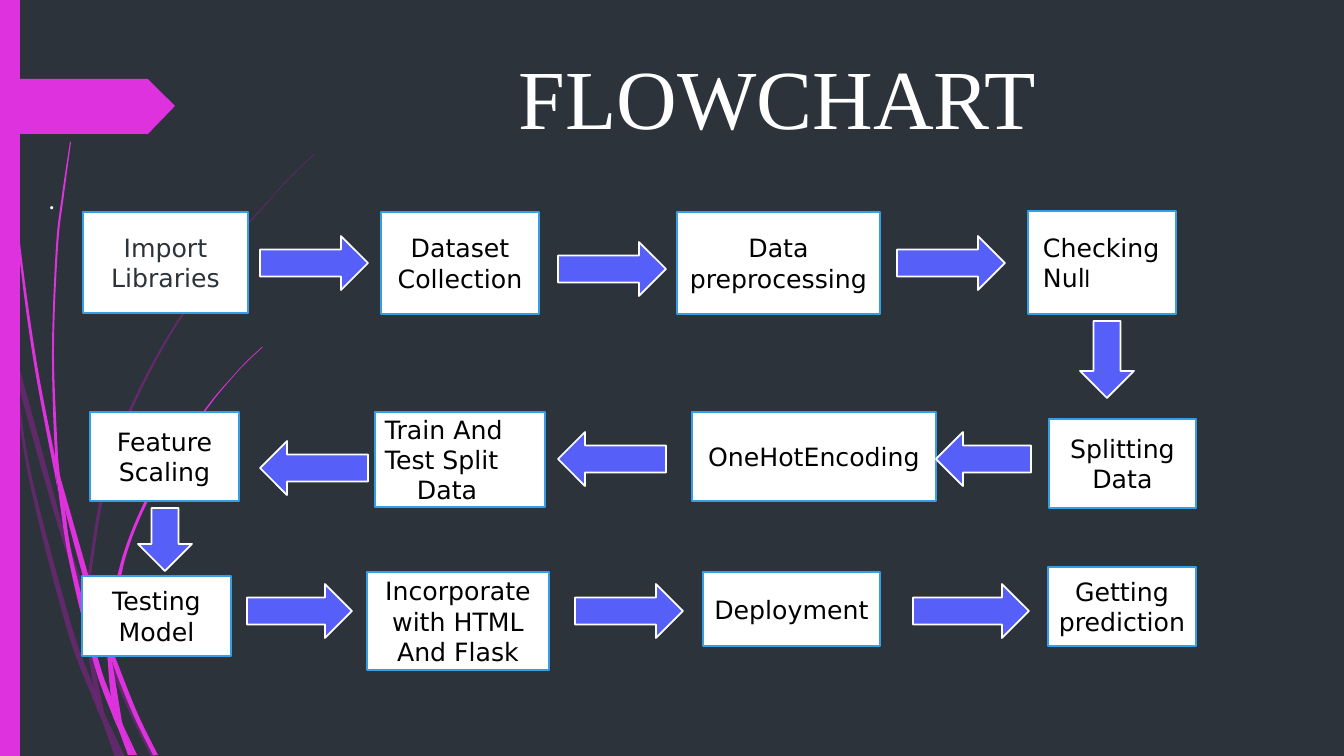
from pptx import Presentation
from pptx.dml.color import RGBColor as RGB
from pptx.enum.shapes import MSO_SHAPE as Kind
from pptx.enum.text import MSO_ANCHOR as Anchor, PP_ALIGN as Align
from pptx.oxml import parse_xml
from pptx.oxml.ns import nsdecls, qn
from pptx.util import Pt

PX = 914400 / 100.8
INK, PINK, PLUM, BLUE, SKY = "2C333A", "DE32DE", "B01CB0", "565FF8", "349FE7"
BLACK, WHITE = "000000", "FFFFFF"
SANS, SPARTAN = "DejaVu Sans", "League Spartan"

# Steps: left, top, width, height, text
STEPS = [
    (83, 212, 165, 101, "Import Libraries"),
    (381, 212, 158, 102, "Dataset Collection"),
    (677, 212, 203, 102, "Data preprocessing"),
    (1028, 211, 148, 103, "Checking Null"),
    (1049, 419, 147, 89, "Splitting Data"),
    (692, 412, 244, 89, "OneHotEncoding"),
    (375, 412, 170, 95, "Train And Test Split\nData"),
    (90, 412, 149, 89, "Feature Scaling"),
    (82, 576, 149, 80, "Testing Model"),
    (367, 572, 182, 98, "Incorporate with HTML And Flask"),
    (703, 572, 177, 74, "Deployment"),
    (1048, 567, 148, 79, "Getting prediction"),
]
# Steps with a format of their own
STYLES = {
    "Import Libraries": dict(color=INK),
    "Checking Null": dict(align=Align.LEFT, left=15, tail=1),
    "Train And Test Split\nData": dict(align=Align.LEFT, left=10,
                                       indents=(0, 32)),
}

# Arrows: direction, then left, top, length
ARROWS = {
    Kind.RIGHT_ARROW: [(260, 236, 108), (558, 242, 108), (897, 236, 108),
                       (247, 584, 105), (575, 584, 108), (913, 584, 116)],
    Kind.LEFT_ARROW: [(936, 432, 95), (558, 432, 108), (260, 441, 108)],
    Kind.DOWN_ARROW: [(1080, 321, 77), (138, 508, 63)],
}
THICK = 54

# Blades: left edge and right edge, each from top to bottom
BACK = [
    ([(0, 301), (10, 347), (11, 353)], [(0, 284), (9, 325)]),
    ([(14, 348), (17, 379), (58, 526), (85, 604)], [(62, 524), (85, 591)]),
    ([(89, 601), (89, 615), (124, 700), (151, 757)],
     [(93, 612), (128, 698), (156, 757)]),
    ([(106, 717), (120, 757)], [(125, 757)]),
    ([(11, 353), (28, 474), (66, 626), (93, 699), (102, 720)],
     [(17, 379), (31, 473), (71, 624), (94, 688), (100, 713)]),
    ([(85, 604), (88, 651), (94, 688), (97, 698), (106, 717)],
     [(89, 615), (92, 651), (104, 712)]),
    ([(314, 154), (291, 176), (270, 199), (230, 246), (159, 351),
      (108, 465), (86, 589), (86, 591), (89, 601)],
     [(315, 154), (292, 176), (270, 200), (231, 247), (161, 352),
      (111, 466), (89, 589)]),
    ([(102, 720), (115, 757)], [(120, 757)]),
    ([(94, 688), (100, 713), (102, 720), (120, 757)],
     [(97, 698), (106, 717)]),
]
FRONT = [
    ([(3, 0), (4, 48), (7, 111), (17, 235), (33, 358), (56, 481), (57, 485)],
     [(4, 0), (5, 48), (8, 110), (19, 234), (36, 358), (55, 457)]),
    ([(60, 476), (65, 509), (89, 597), (107, 650)], [(94, 595), (107, 636)]),
    ([(111, 646), (112, 661), (133, 714), (153, 755)],
     [(114, 654), (137, 712), (158, 755)]),
    ([(57, 481), (69, 561), (94, 664), (112, 714), (118, 728)],
     [(65, 509), (73, 560), (99, 662), (111, 697), (117, 723)]),
    ([(70, 142), (62, 195), (56, 247), (52, 352), (55, 453), (60, 476)],
     [(71, 142), (64, 195), (58, 247), (54, 352), (58, 457)]),
    ([(123, 725), (134, 755)], [(137, 755)]),
    ([(55, 453), (55, 457), (57, 481), (65, 509)], [(60, 476)]),
    ([(262, 347), (247, 361), (233, 376), (206, 408), (157, 478),
      (123, 555), (107, 636), (111, 646)],
     [(263, 347), (247, 362), (233, 377), (207, 409), (159, 480),
      (126, 556), (112, 638)]),
    ([(118, 728), (128, 755)], [(132, 755)]),
    ([(107, 650), (111, 697), (117, 712), (123, 725)],
     [(110, 656), (112, 661), (122, 722)]),
    ([(107, 636), (107, 650), (112, 661)], [(111, 646)]),
    ([(111, 697), (117, 723), (118, 728), (131, 755)],
     [(117, 712), (123, 725), (134, 755)]),
]
FLAG = [(0, 79), (148, 79), (175, 106), (148, 134), (0, 134)]


def emu(n):
    return round(n * PX)


def hue(code):
    return RGB.from_string(code)


def paint(shape, fill, line=None):
    shape.shadow.inherit = False
    shape.fill.solid()
    shape.fill.fore_color.rgb = hue(fill)
    if line:
        shape.line.color.rgb = hue(line)
        shape.line.width = Pt(1.25)
    else:
        shape.line.fill.background()
    return shape


def block(kind, box, fill, line=None):
    return paint(slide.shapes.add_shape(kind, *map(emu, box)), fill, line)


def write(shape, text, size=18, font=SANS, color=BLACK, align=Align.CENTER,
          anchor=Anchor.MIDDLE, left=9, top=5, indents=(0,), tail=0):
    """Fill a shape with text; the last tail letters are in Spartan."""
    frame = shape.text_frame
    frame.word_wrap = True
    frame.vertical_anchor = anchor
    frame.margin_left, frame.margin_right = emu(left), emu(9)
    frame.margin_top, frame.margin_bottom = emu(top), emu(5)
    cut = len(text) - tail
    frame.text = text[:cut]
    if tail:
        frame.paragraphs[-1].add_run().text = text[cut:]
    for para, gap in zip(frame.paragraphs, indents):
        para.alignment = align
        if gap:
            para._p.get_or_add_pPr().set("marL", str(emu(gap)))
        for i, run in enumerate(para.runs):
            face = run.font
            face.name = SPARTAN if i else font
            face.size, face.color.rgb = Pt(size), hue(color)


def label(box, text, **style):
    write(slide.shapes.add_textbox(*map(emu, box)), text,
          anchor=Anchor.TOP, **style)


def outline(points, fill):
    dots = [(emu(x), emu(y)) for x, y in points]
    pen = slide.shapes.build_freeform(*dots[0], scale=1.0)
    pen.add_line_segments(dots[1:], close=True)
    return paint(pen.convert_to_shape(), fill)


def bend(lines, side):
    """Turn the lines along one side into smooth cubic curves."""
    ends = [side[0], *side, side[-1]]
    for line, a, b, c, d in zip(lines, ends, ends[1:], ends[2:], ends[3:]):
        knots = ([q + (r - p) / 6 for p, q, r in zip(a, b, c)],
                 [r - (s - q) / 6 for q, r, s in zip(b, c, d)], c)
        dots = "".join(f'<a:pt x="{round(x)}" y="{round(y)}"/>'
                       for x, y in knots)
        curve = parse_xml(f'<a:cubicBezTo {nsdecls("a")}>{dots}'
                          '</a:cubicBezTo>')
        line.getparent().replace(line, curve)


def blade(left, right, fill, alpha=None):
    shape = outline(left + right[::-1], fill)
    root, cut = shape._element, len(left)
    dots = [(int(p.get("x")), int(p.get("y"))) for p in root.iter(qn("a:pt"))]
    lines = list(root.iter(qn("a:lnTo")))
    bend(lines[:cut - 1], dots[:cut])
    bend(lines[cut:], dots[cut:cut + len(right)])
    if alpha:
        tint = root.find(".//" + qn("a:srgbClr"))
        tint.append(parse_xml(f'<a:alpha {nsdecls("a")} val="{alpha * 1000}"/>'))


deck = Presentation()
deck.slide_width, deck.slide_height = emu(1344), emu(756)
slide = deck.slides.add_slide(deck.slide_layouts[6])
slide.background.fill.solid()
slide.background.fill.fore_color.rgb = hue(INK)

# Side decoration
for left, right in BACK:
    blade(left, right, PLUM, 40)
for left, right in FRONT:
    blade(left, right, PINK)
block(Kind.RECTANGLE, (0, 0, 20, 756), PINK)
outline(FLAG, PINK)

# Title and body
label((286, 40, 983, 169), "FLOWCHART", size=60, font="Times New Roman",
      color=WHITE)
label((0, 179, 1344, 576), ".", font=SPARTAN, color=WHITE,
      align=Align.LEFT, left=48)

# Steps
for i, (*box, text) in enumerate(STEPS):
    kind = Kind.FLOWCHART_PROCESS if i else Kind.RECTANGLE
    write(block(kind, box, WHITE, SKY), text, **STYLES.get(text, {}))

# Arrows
for kind, places in ARROWS.items():
    for x, y, size in places:
        span = (THICK, size) if kind == Kind.DOWN_ARROW else (size, THICK)
        block(kind, (x, y, *span), BLUE, WHITE)

deck.save("out.pptx")
